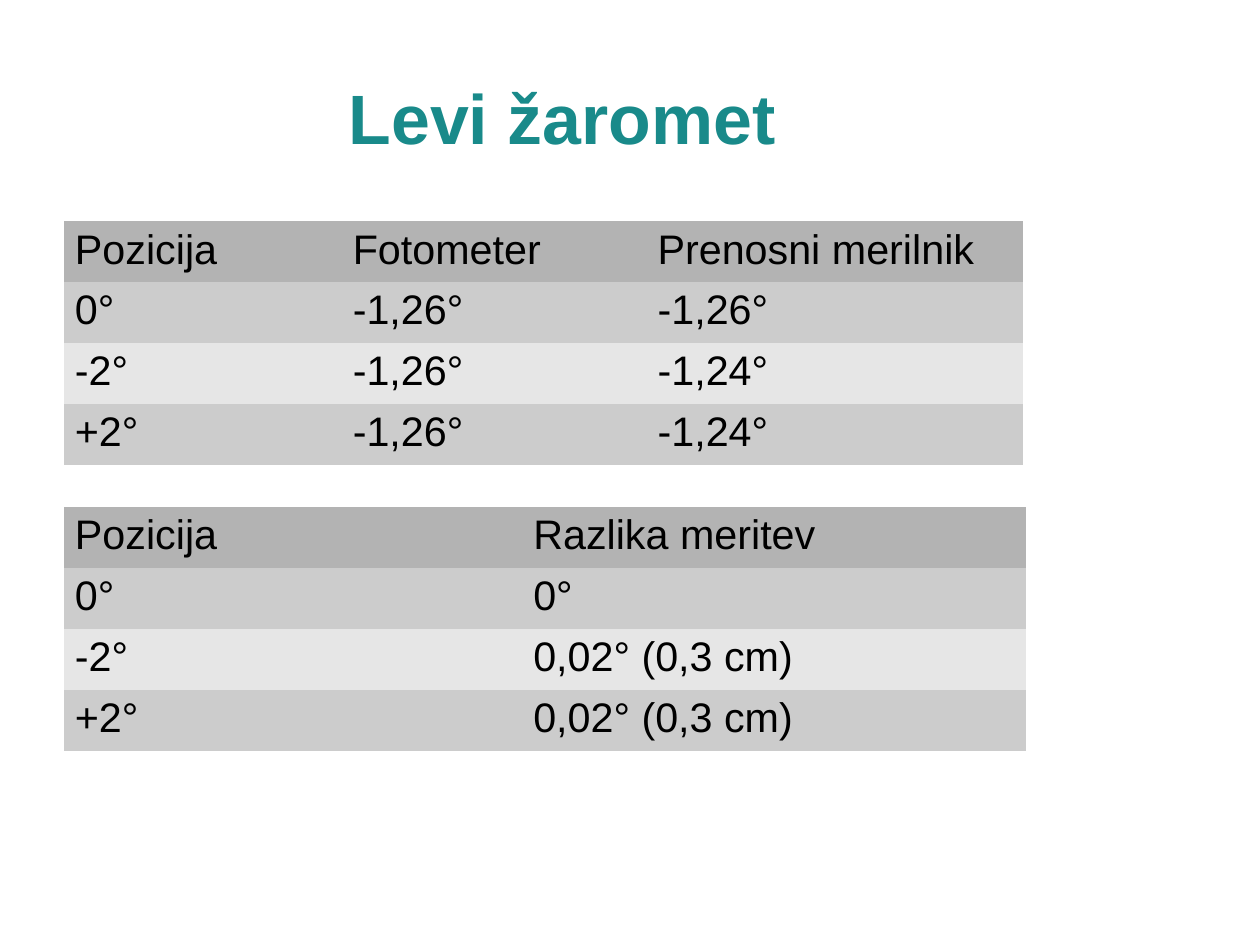
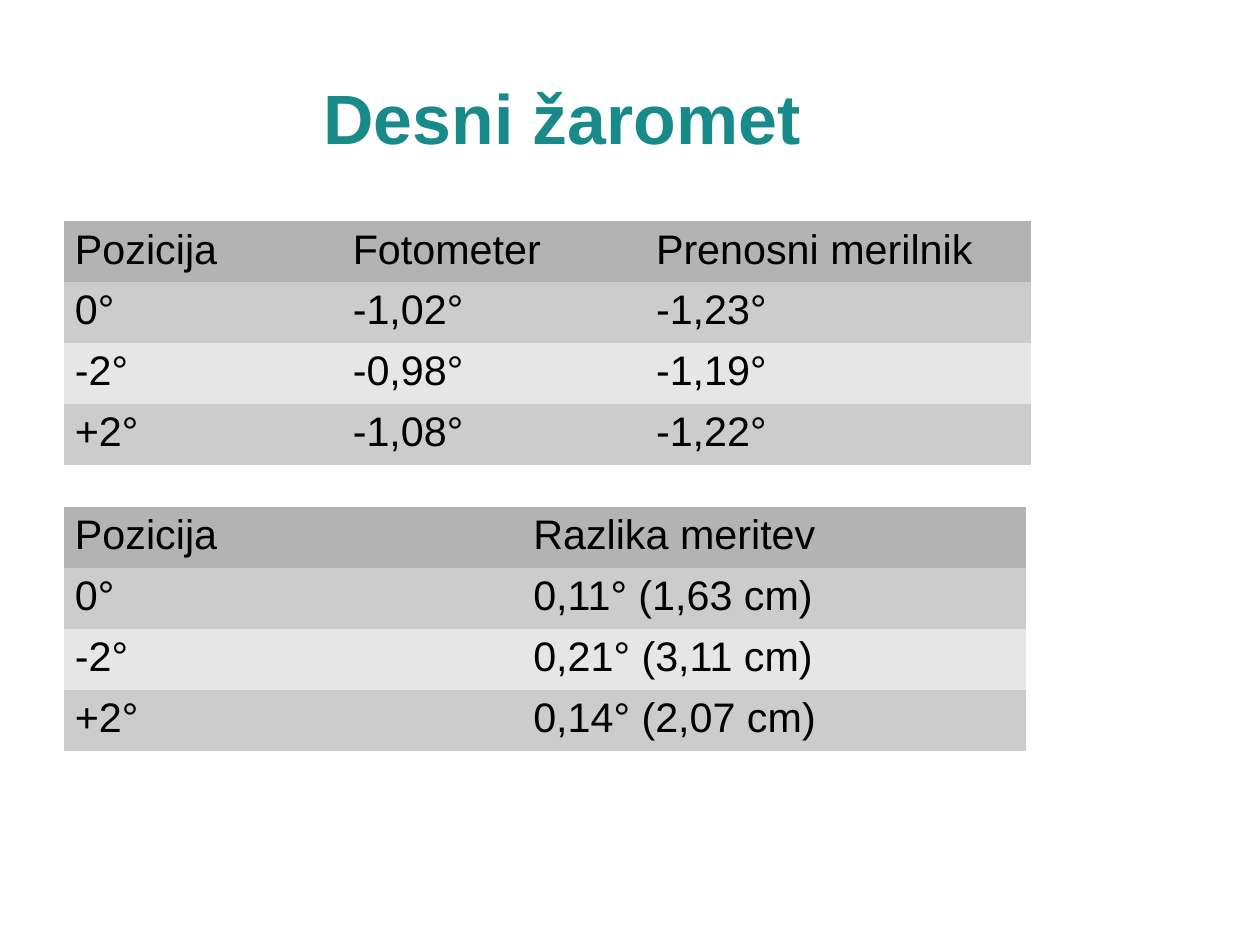
from pptx import Presentation
from pptx.dml.color import RGBColor
from pptx.enum.text import MSO_ANCHOR, PP_ALIGN
from pptx.oxml.ns import qn
from pptx.util import Pt

TEAL = RGBColor(0x19, 0x8A, 0x8A)
BLACK = RGBColor(0x00, 0x00, 0x00)
HEADER_GREY = RGBColor(0xB3, 0xB3, 0xB3)
BAND_GREYS = (RGBColor(0xCC, 0xCC, 0xCC), RGBColor(0xE6, 0xE6, 0xE6))
PLAIN_STYLE = "{2D5ABB26-0587-4C30-8999-92F81FD0307C}"

POSITIONS = ("0°", "-2°", "+2°")
HEADLIGHTS = (
    (
        "Levi žaromet",
        (175, 192, 237.6),
        ("-1,26°", "-1,26°", "-1,26°"),
        ("-1,26°", "-1,24°", "-1,24°"),
        ("0°", "0,02° (0,3 cm)", "0,02° (0,3 cm)"),
    ),
    (
        "Desni žaromet",
        (175, 191, 243.4),
        ("-1,02°", "-0,98°", "-1,08°"),
        ("-1,23°", "-1,19°", "-1,22°"),
        ("0,11° (1,63 cm)", "0,21° (3,11 cm)", "0,14° (2,07 cm)"),
    ),
)


class Deck:
    font_name = "Arial"
    title_size = 44
    table_size = 26
    table_left = 40
    row_height = 38.4

    def __init__(self):
        self.prs = Presentation()
        self.prs.slide_width = Pt(793.6)
        self.prs.slide_height = Pt(595.4)
        self.slide = None

    def new_slide(self):
        self.slide = self.prs.slides.add_slide(self.prs.slide_layouts[6])

    def style(self, paragraph, size, color, bold=False):
        for run in paragraph.runs:
            run.font.name = self.font_name
            run.font.size = Pt(size)
            run.font.bold = bold
            run.font.color.rgb = color

    def title(self, text):
        box = self.slide.shapes.add_textbox(Pt(28), Pt(24), Pt(652.4), Pt(99.2))
        frame = box.text_frame
        frame.word_wrap = True
        frame.vertical_anchor = MSO_ANCHOR.MIDDLE
        frame.margin_left = frame.margin_right = 0
        frame.margin_top = frame.margin_bottom = 0
        frame.text = text
        heading = frame.paragraphs[0]
        heading.alignment = PP_ALIGN.CENTER
        self.style(heading, self.title_size, TEAL, bold=True)

    def table(self, top, widths, rows):
        holder = self.slide.shapes.add_table(
            len(rows), len(widths), Pt(self.table_left), Pt(top),
            Pt(sum(widths)), Pt(self.row_height * len(rows)))
        for style_id in holder.element.iter(qn("a:tableStyleId")):
            style_id.text = PLAIN_STYLE
        grid = holder.table
        grid.horz_banding = False
        for column, width in zip(grid.columns, widths):
            column.width = Pt(width)
        for index, (row, values) in enumerate(zip(grid.rows, rows)):
            row.height = Pt(self.row_height)
            color = BAND_GREYS[(index - 1) % 2] if index else HEADER_GREY
            for cell, value in zip(row.cells, values):
                cell.fill.solid()
                cell.fill.fore_color.rgb = color
                cell.text_frame.text = value
                self.style(cell.text_frame.paragraphs[0], self.table_size, BLACK)

    def save(self):
        self.prs.save("out.pptx")


def main():
    deck = Deck()
    for name, widths, photometer, portable, differences in HEADLIGHTS:
        deck.new_slide()
        deck.title(name)
        deck.table(139.2, widths, [
            ("Pozicija", "Fotometer", "Prenosni merilnik"),
            *zip(POSITIONS, photometer, portable)])
        deck.table(319.2, (288.7, 317.5), [
            ("Pozicija", "Razlika meritev"),
            *zip(POSITIONS, differences)])
    deck.save()


if __name__ == "__main__":
    main()
